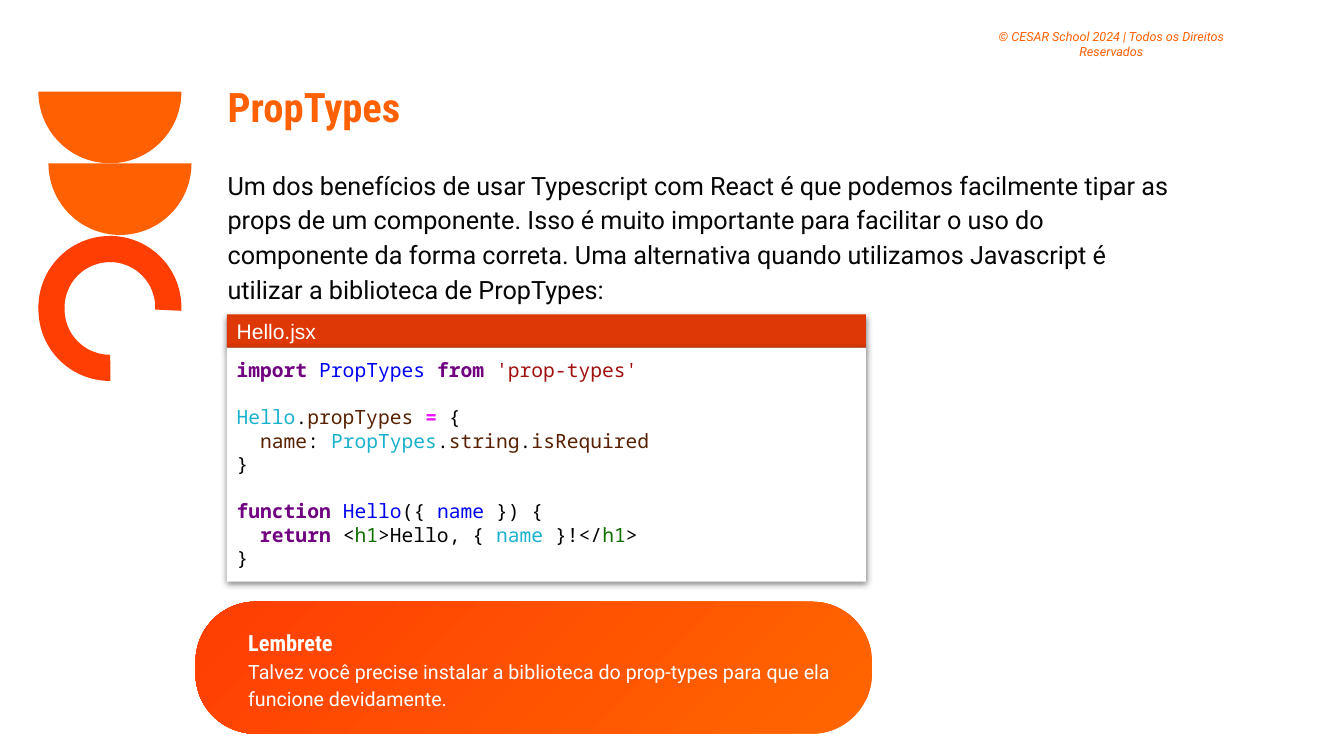
import math

from lxml import etree
from pptx import Presentation
from pptx.dml import color
from pptx.enum import shapes, text
from pptx.oxml import ns
from pptx.util import Pt

ORANGE = color.RGBColor(0xFF, 0x60, 0x02)
LIGHT_ORANGE = color.RGBColor(0xFF, 0x66, 0x00)
RED = color.RGBColor(0xFF, 0x3E, 0x03)
BRICK = color.RGBColor(0xDD, 0x38, 0x05)
INK = color.RGBColor(0x07, 0x06, 0x06)
BLACK = color.RGBColor(0x00, 0x00, 0x00)
WHITE = color.RGBColor(0xFF, 0xFF, 0xFF)
PURPLE = color.RGBColor(0x70, 0x00, 0x80)
BLUE = color.RGBColor(0x00, 0x00, 0xF0)
CRIMSON = color.RGBColor(0xA0, 0x10, 0x10)
CYAN = color.RGBColor(0x1A, 0xB1, 0xCD)
BROWN = color.RGBColor(0x57, 0x20, 0x00)
MAGENTA = color.RGBColor(0xEE, 0x11, 0xFF)
GREEN = color.RGBColor(0x10, 0x70, 0x00)

BOLD_COLORS = (PURPLE, MAGENTA)
CODE_GAP = Pt(16.8)
CODE_BLOCKS = [
    [
        [("import ", PURPLE), ("PropTypes ", BLUE), ("from ", PURPLE), ("'prop-types'", CRIMSON)],
    ],
    [
        [("Hello", CYAN), (".", BLACK), ("propTypes ", BROWN), ("=", MAGENTA), (" {", BLACK)],
        [("  name", BROWN), (": ", BLACK), ("PropTypes", CYAN), (".", BLACK),
         ("string", BROWN), (".", BLACK), ("isRequired", BROWN)],
        [("}", BLACK)],
    ],
    [
        [("function ", PURPLE), ("Hello", BLUE), ("({ ", BLACK), ("name ", BLUE), ("}) {", BLACK)],
        [("  return", PURPLE), (" <", BLACK), ("h1", GREEN), (">Hello, { ", BLACK),
         ("name", CYAN), (" }!</", BLACK), ("h1", GREEN), (">", BLACK)],
        [("}", BLACK)],
    ],
]
BODY = (
    "Um dos benefícios de usar Typescript com React é que podemos facilmente tipar as "
    "props de um componente. Isso é muito importante para facilitar o uso do componente "
    "da forma correta. Uma alternativa quando utilizamos Javascript é utilizar a "
    "biblioteca de PropTypes:"
)
REMINDER = (
    "Talvez você precise instalar a biblioteca do prop-types para que ela "
    "funcione devidamente."
)


def set_all(target, values):
    for name, value in values.items():
        setattr(target, name, value)


def prepare_frame(box, inset=7.2, side=7.2, anchor=text.MSO_ANCHOR.TOP):
    set_all(box.text_frame, {
        "word_wrap": True,
        "vertical_anchor": anchor,
        "margin_left": Pt(side),
        "margin_right": Pt(side),
        "margin_top": Pt(inset),
        "margin_bottom": Pt(inset),
    })
    return box.text_frame


def next_paragraph(frame, **layout):
    para = frame.paragraphs[0] if not frame.paragraphs[0].runs else frame.add_paragraph()
    set_all(para, {"alignment": text.PP_ALIGN.LEFT, **layout})
    return para


def add_span(para, words, ink, **font):
    span = para.add_run()
    span.text = words
    span.font.color.rgb = ink
    set_all(span.font, font)


def add_text(page, bounds, words, ink, font, layout, inset=7.2):
    box = page.shapes.add_textbox(*map(Pt, bounds))
    frame = prepare_frame(box, inset, inset)
    add_span(next_paragraph(frame, **layout), words, ink, **font)


def add_preset(page, preset, bounds, fill=None, adjustments=()):
    shape = page.shapes.add_shape(preset, *map(Pt, bounds))
    shape.shadow.inherit = False
    shape.line.fill.background()
    if fill is not None:
        shape.fill.solid()
        shape.fill.fore_color.rgb = fill
    for index, value in enumerate(adjustments):
        shape.adjustments[index] = value
    return shape


def add_half_disc(page, left, top, radius):
    points = [
        (Pt(left + radius - radius * math.cos(math.radians(angle))),
         Pt(top + radius * math.sin(math.radians(angle))))
        for angle in range(0, 181, 3)
    ]
    builder = page.shapes.build_freeform(*points[0])
    builder.add_line_segments(points[1:], close=True)
    disc = builder.convert_to_shape()
    disc.shadow.inherit = False
    disc.fill.solid()
    disc.fill.fore_color.rgb = ORANGE
    disc.line.fill.background()


def add_ring_quarter(page, top, rotation):
    bounds = (27.4, top, 102.2, 102.2)
    quarter = add_preset(page, shapes.MSO_SHAPE.BLOCK_ARC, bounds, RED, (161.776, 1.63, 0.183))
    quarter.rotation = rotation


def cast_shadow(shape):
    effects = shape.element.spPr.find(ns.qn("a:effectLst"))
    shadow = etree.SubElement(effects, ns.qn("a:outerShdw"), {
        "blurRad": str(Pt(4.5)), "dist": str(Pt(1.5)), "dir": "5400000",
        "algn": "t", "rotWithShape": "0",
    })
    shade = etree.SubElement(shadow, ns.qn("a:srgbClr"), {"val": str(BLACK)})
    etree.SubElement(shade, ns.qn("a:alpha"), {"val": "50000"})


def add_code_panel(page, left, top, width, header_height, code_height):
    rectangle = shapes.MSO_SHAPE.RECTANGLE
    header = add_preset(page, rectangle, (left, top, width, header_height), BRICK)
    code = add_preset(page, rectangle, (left, top + header_height, width, code_height), WHITE)
    cast_shadow(header)
    cast_shadow(code)

    title = next_paragraph(prepare_frame(header, inset=0), line_spacing=1.15)
    add_span(title, "Hello.jsx", WHITE, name="Arial", size=Pt(15))

    frame = prepare_frame(code)
    for block_index, block in enumerate(CODE_BLOCKS):
        for line_index, line in enumerate(block):
            starts_block = block_index > 0 and line_index == 0
            para = next_paragraph(frame, space_before=CODE_GAP if starts_block else Pt(0))
            for words, ink in line:
                add_span(para, words, ink, name="Noto Sans Mono", size=Pt(14),
                         bold=ink in BOLD_COLORS)
    page.shapes.add_group_shape([header, code])


def add_reminder(page, bounds):
    card = add_preset(page, shapes.MSO_SHAPE.ROUNDED_RECTANGLE, bounds, adjustments=(0.453,))
    card.fill.gradient()
    card.fill.gradient_angle = 135
    for stop, ink in zip(card.fill.gradient_stops, (LIGHT_ORANGE, RED)):
        stop.color.rgb = ink
    frame = prepare_frame(card, anchor=text.MSO_ANCHOR.MIDDLE)
    for words, font in (
        ("Lembrete", {"name": "Roboto Condensed", "size": Pt(16), "bold": True}),
        (REMINDER, {"name": "Roboto", "size": Pt(14)}),
    ):
        para = next_paragraph(frame, line_spacing=1.15)
        para._p.get_or_add_pPr().set("marL", str(Pt(18)))
        add_span(para, words, WHITE, **font)


def main():
    deck = Presentation()
    set_all(deck, {"slide_width": Pt(960), "slide_height": Pt(540)})
    page = deck.slides.add_slide(deck.slide_layouts[6])

    add_text(page, (155.5, 51.1, 625.7, 51.1), "PropTypes", ORANGE,
             {"name": "Roboto Condensed", "size": Pt(29), "bold": True}, {})
    add_text(page, (687.6, 15.8, 212.4, 24.5),
             "© CESAR School 2024 | Todos os Direitos Reservados", ORANGE,
             {"name": "Roboto", "size": Pt(9), "italic": True},
             {"alignment": text.PP_ALIGN.CENTER}, inset=5)

    add_half_disc(page, 34.6, 116.7, 51.1)
    for top, rotation in ((168.5, 270), (168.5, 0), (169.9, 180)):
        add_ring_quarter(page, top, rotation)
    add_half_disc(page, 27.4, 65.5, 51.1)

    add_text(page, (155.5, 110.9, 695.5, 111.6), BODY, INK,
             {"name": "Roboto", "size": Pt(18)}, {"line_spacing": 1.15})
    add_code_panel(page, 162, 224.6, 456.5, 23.8, 167)
    add_reminder(page, (139.7, 429.8, 483.1, 94.3))
    deck.save("out.pptx")


if __name__ == "__main__":
    main()
